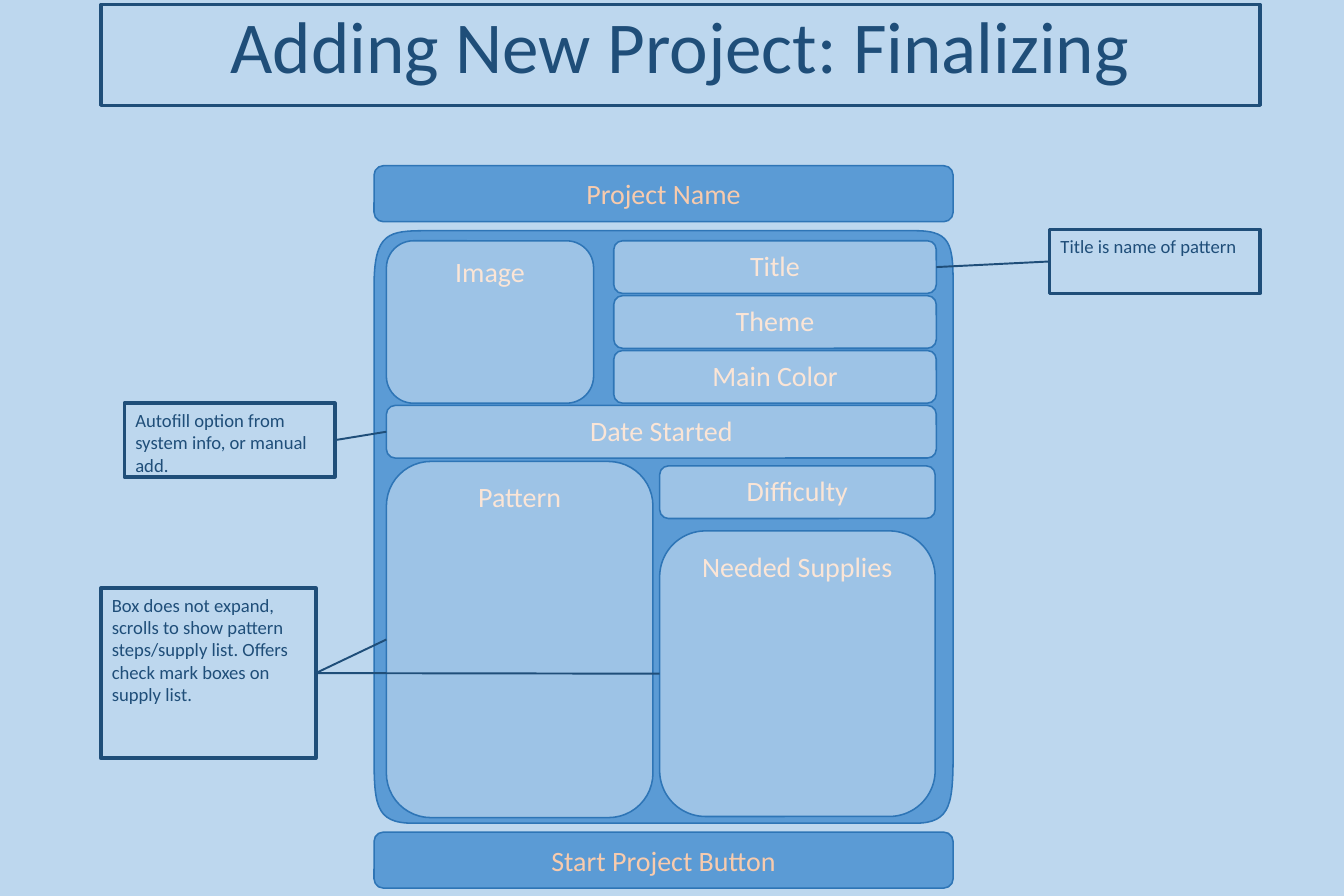
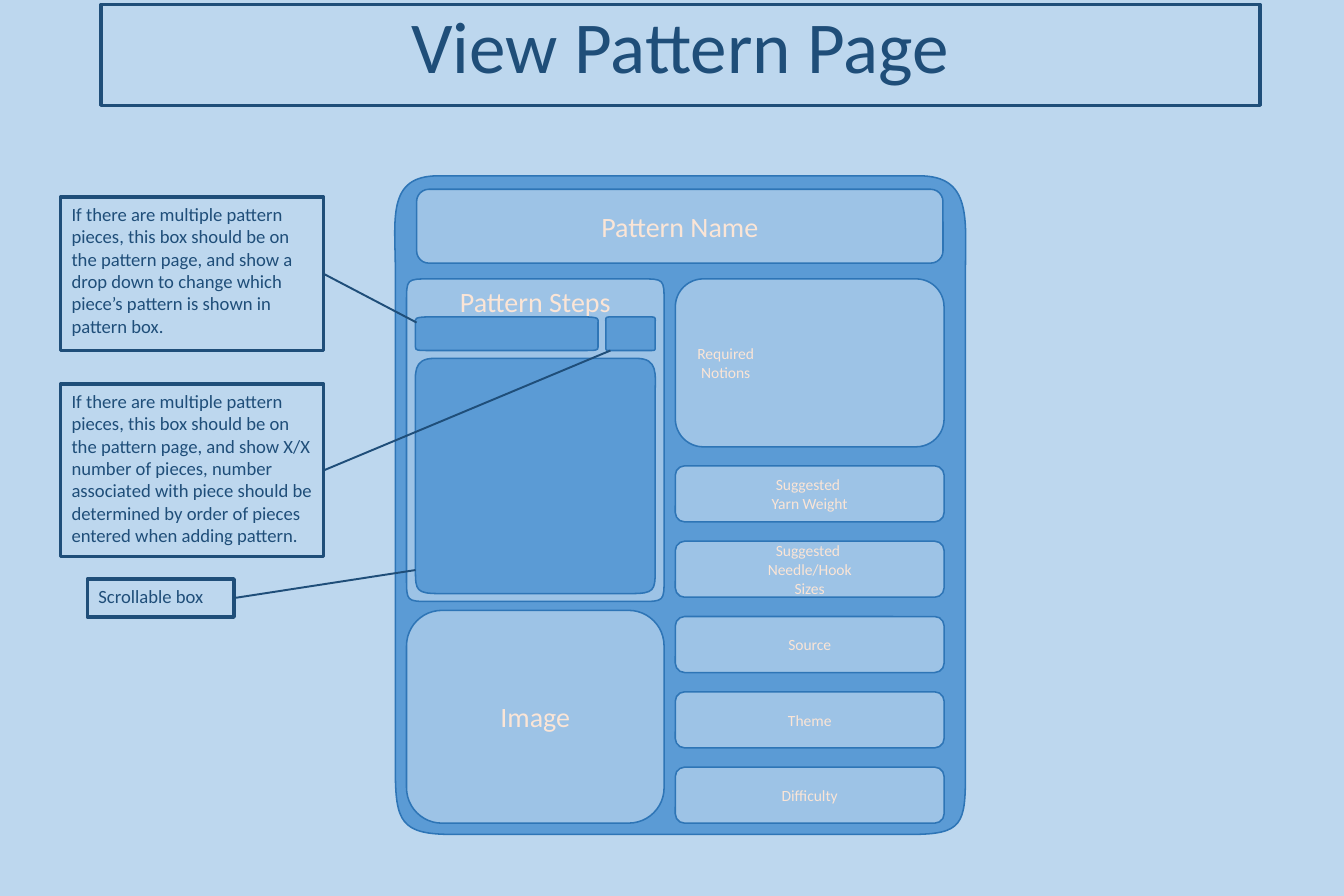
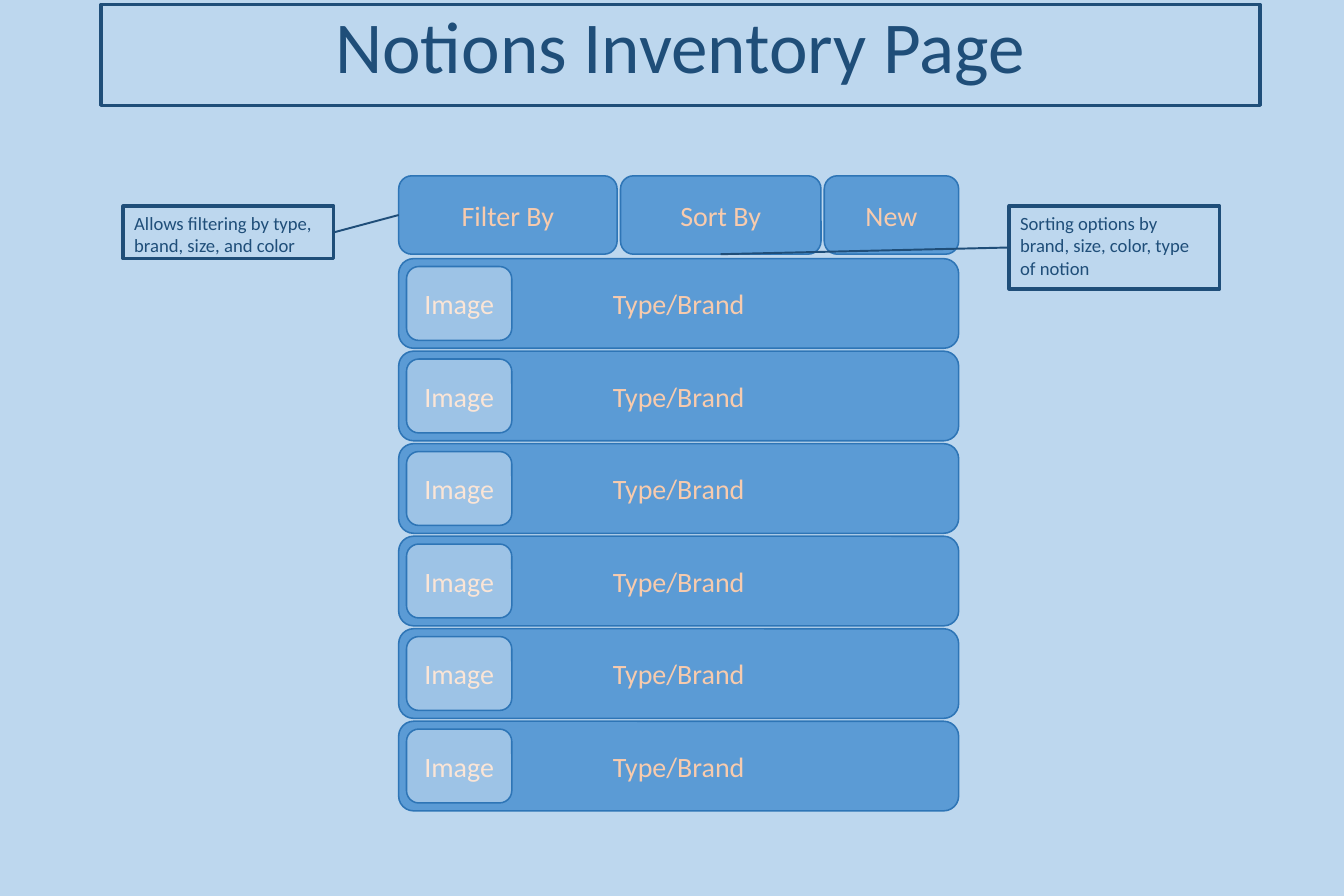
from lxml import etree
from pptx import Presentation
from pptx.dml.color import RGBColor
from pptx.enum.shapes import MSO_CONNECTOR, MSO_SHAPE
from pptx.enum.text import MSO_ANCHOR, MSO_AUTO_SIZE, PP_ALIGN
from pptx.oxml.ns import qn
from pptx.util import Inches, Pt

COLORS = {
    "background": "BDD7EE",
    "ink": "1F4E79",
    "panel": "5B9BD5",
    "field": "9DC3E6",
    "edge": "2E75B6",
    "panel_text": "F8CBAD",
    "field_text": "FBE5D6",
}
FONT = "Calibri"
TITLE_BOX = (0.9, 0.04, 10.35, 0.9)
TOP, LEFT, BOTTOM, RIGHT = range(4)  # connection sites


# Shared helpers

def color(name):
    return RGBColor.from_string(COLORS[name])


def inches(box):
    return [Inches(value) for value in box]


def within(area, left, top, width, height):
    """Turn a box measured from the corner of an area into a slide box."""
    return area[0] + left, area[1] + top, width, height


def set_line(shape, name, width):
    shape.line.color.rgb = color(name)
    shape.line.width = Pt(width)


def write(shape, lines, size, text_color, align, anchor):
    frame = shape.text_frame
    frame.word_wrap = True
    frame.auto_size = MSO_AUTO_SIZE.NONE
    frame.vertical_anchor = anchor
    for index, line in enumerate(lines):
        paragraph = frame.add_paragraph() if index else frame.paragraphs[0]
        paragraph.alignment = align
        run = paragraph.add_run()
        run.text = line
        run.font.name = FONT
        run.font.size = Pt(size)
        run.font.color.rgb = color(text_color)


def style_block(shape, kind):
    shape.shadow.inherit = False
    shape.fill.solid()
    shape.fill.fore_color.rgb = color(kind)
    set_line(shape, "edge", 1)


def add_block(shapes, box, text, kind="field", size=18, anchor=MSO_ANCHOR.MIDDLE):
    """Rounded block of the mock-up; text may hold several lines."""
    shape = shapes.add_shape(MSO_SHAPE.ROUNDED_RECTANGLE, *inches(box))
    style_block(shape, kind)
    write(shape, text.split("\n"), size, f"{kind}_text", PP_ALIGN.CENTER, anchor)
    return shape


def add_small_block(shapes, box, text, right_inset=0):
    shape = add_block(shapes, box, text, size=10)
    shape.text_frame.margin_left = 0
    shape.text_frame.margin_right = Inches(right_inset)


def add_soft_panel(shapes, box, corners, kind="panel"):
    """Outline with four curved corners, clockwise from the top left.

    Each corner is its width and height, then how far its horizontal and
    vertical handles stay inside the corner point.
    """
    left, top, width, height = inches(box)
    curves = []
    for index, corner in enumerate(corners):
        reach_x, reach_y, pull_x, pull_y = inches(corner)
        x, sign_x = (left + width, -1) if index in (1, 2) else (left, 1)
        y, sign_y = (top + height, -1) if index in (2, 3) else (top, 1)
        curve = [(x, y + sign_y * reach_y), (x, y + sign_y * pull_y),
                 (x + sign_x * pull_x, y), (x + sign_x * reach_x, y)]
        curves.append(curve[::-1] if index % 2 else curve)
    ends = [point for curve in curves for point in (curve[0], curve[3])]
    builder = shapes.build_freeform(*ends[0])
    builder.add_line_segments(ends[1:], close=True)
    shape = builder.convert_to_shape()

    # Turn the straight piece across each corner into a curve
    corner_lines = list(shape._element.iter(qn("a:lnTo")))[::2]
    for line, curve in zip(corner_lines, curves):
        line.tag = qn("a:cubicBezTo")
        line.clear()
        for x, y in curve[1:]:
            etree.SubElement(line, qn("a:pt"), x=str(x - left), y=str(y - top))
    style_block(shape, kind)
    return shape


def add_note(slide, box, text):
    shape = slide.shapes.add_textbox(*inches(box))
    set_line(shape, "ink", 2.25)
    write(shape, [text], 12, "ink", PP_ALIGN.LEFT, MSO_ANCHOR.TOP)
    return shape


def add_link(slide, note, note_site, point=(0, 0), target=None, target_site=LEFT):
    """Line from a note to a free point or to the side of a target."""
    link = slide.shapes.add_connector(MSO_CONNECTOR.STRAIGHT, 0, 0, *inches(point))
    link.begin_connect(note, note_site)
    if target is not None:
        link.end_connect(target, target_site)
    set_line(link, "ink", 1.25)
    etree.SubElement(link._element.spPr, qn("a:effectLst"))


def add_titled_slide(presentation, text):
    slide = presentation.slides.add_slide(presentation.slide_layouts[5])
    title = slide.shapes.title
    title.left, title.top, title.width, title.height = inches(TITLE_BOX)
    set_line(title, "ink", 2.25)
    write(title, [text], 47, "ink", PP_ALIGN.CENTER, MSO_ANCHOR.TOP)
    title.text_frame.paragraphs[0].line_spacing = 0.9
    return slide


# Mock-up screens: some return the parts that notes point to

def draw_project_screen(slide, area):
    shapes = slide.shapes
    width, height = area[2:]
    bar = 0.5
    add_block(shapes, within(area, 0, 0, width, bar), "Project Name", "panel")
    add_block(shapes, within(area, 0, height - bar, width, bar),
              "Start Project Button", "panel")
    add_soft_panel(shapes, within(area, 0, 0.58, width, 5.29),
                   [(0.48, 0.5, 0.13, 0.01), (0.34, 0.64, -0.02, 0.15),
                    (0.34, 0.67, 0.01, 0.18), (0.35, 0.67, 0, 0.17)])
    fields = {
        "Image": (0.11, 0.67, 1.85, 1.45),
        "Date Started": (0.11, 2.14, 4.91, 0.47),
        "Pattern": (0.11, 2.64, 2.38, 3.18),
        "Difficulty": (2.55, 2.68, 2.46, 0.47),
        "Needed Supplies": (2.55, 3.26, 2.46, 2.55),
    }
    for row, name in enumerate(("Title", "Theme", "Main Color")):
        fields[name] = (2.14, 0.67 + 0.49 * row, 2.88, 0.47)
    return {name: add_block(shapes, within(area, *box), name, anchor=MSO_ANCHOR.TOP)
            for name, box in fields.items()}


def draw_pattern_screen(slide, area):
    shapes = slide.shapes
    add_soft_panel(shapes, area,
                   [(0.38, 0.85, -0.08, 0.39), (0.41, 0.85, -0.06, 0.39),
                    (0.49, 0.56, 0.02, 0.09), (0.51, 0.58, 0.05, 0.11)])
    add_block(shapes, within(area, 0.19, 0.12, 4.7, 0.66), "Pattern Name")

    # Pattern steps with drop-down, piece counter and scroll box
    steps = add_soft_panel(shapes, within(area, 0.1, 0.92, 2.3, 2.88),
                           [(0.21, 0.21, 0, 0)] * 4, "field")
    write(steps, ["Pattern Steps"], 18, "field_text", PP_ALIGN.CENTER, MSO_ANCHOR.TOP)
    add_soft_panel(shapes, within(area, 0.18, 1.26, 1.63, 0.3),
                   [(0.13, 0.05, -0.02, 0.02)] * 2 + [(0.16, 0.03, 0.01, 0)] * 2)
    add_soft_panel(shapes, within(area, 1.88, 1.26, 0.44, 0.3),
                   [(0.03, 0.05, -0.01, 0.02)] * 2 + [(0.04, 0.03, 0, 0)] * 2)
    add_soft_panel(shapes, within(area, 0.18, 1.63, 2.14, 2.1),
                   [(0.17, 0.31, -0.03, 0.14)] * 2 + [(0.21, 0.2, 0.01, 0.03)] * 2)
    add_block(shapes, within(area, 0.1, 3.88, 2.3, 1.9), "Image")

    # Details column
    add_small_block(shapes, within(area, 2.5, 0.92, 2.4, 1.5), "Required\nNotions", 1.5)
    details = ("Suggested \nYarn Weight", "Suggested \nNeedle/Hook\nSizes",
               "Source", "Theme", "Difficulty")
    first, last = 2.59, 5.28
    pitch = (last - first) / (len(details) - 1)
    for row, text in enumerate(details):
        add_small_block(shapes, within(area, 2.5, first + row * pitch, 2.4, 0.5), text)


def draw_inventory_screen(slide, area):
    width, height = area[2:]
    rows, first, row_height = 6, 0.74, 0.8
    pitch = (height - first - row_height) / (rows - 1)
    for row in range(rows):
        top = first + row * pitch
        group = slide.shapes.add_group_shape()
        add_block(group.shapes, within(area, 0, top, width, row_height),
                  "Type/Brand", "panel")
        add_block(group.shapes, within(area, 0.07, top + 0.07, 0.94, 0.66), "Image")

    # Buttons above the list
    buttons, left = {}, 0
    for name, button_width in (("Filter By", 1.95), ("Sort By", 1.79), ("New", 1.2)):
        box = within(area, left, 0, button_width, 0.7)
        buttons[name] = add_block(slide.shapes, box, name, "panel")
        left += button_width + 0.03
    return buttons


# Slides

def build_finalizing(presentation):
    slide = add_titled_slide(presentation, "Adding New Project: Finalizing")
    fields = draw_project_screen(slide, (3.34, 1.48, 5.17, 6.45))
    scroll_note = add_note(
        slide, (0.9, 5.25, 1.92, 1.52),
        "Box does not expand, scrolls to show pattern steps/supply list. "
        "Offers check mark boxes on supply list.")
    title_note = add_note(slide, (9.37, 2.05, 1.88, 0.57), "Title is name of pattern")
    date_note = add_note(slide, (1.11, 3.6, 1.88, 0.66),
                         "Autofill option from system info, or manual add.")
    add_link(slide, scroll_note, RIGHT, target=fields["Pattern"])
    add_link(slide, scroll_note, RIGHT, target=fields["Needed Supplies"])
    add_link(slide, title_note, LEFT, target=fields["Title"], target_site=RIGHT)
    add_link(slide, date_note, RIGHT, target=fields["Date Started"])


def build_view_pattern(presentation):
    slide = add_titled_slide(presentation, "View Pattern Page")
    draw_pattern_screen(slide, (3.53, 1.57, 5.09, 5.88))
    opening = ("If there are multiple pattern pieces, this box should be "
               "on the pattern page, and show ")
    notes = (
        ((0.54, 1.76, 2.35, 1.37), (3.72, 2.88),
         opening + "a drop down to change which piece’s pattern is shown in pattern box."),
        ((0.54, 3.43, 2.35, 1.54), (5.45, 3.13),
         opening + "X/X number of pieces, number associated with piece should be "
         "determined by order of pieces entered when adding pattern."),
        ((0.78, 5.17, 1.31, 0.34), (3.71, 5.09), "Scrollable box"),
    )
    for box, point, text in notes:
        add_link(slide, add_note(slide, box, text), RIGHT, point)


def build_inventory(presentation):
    slide = add_titled_slide(presentation, "Notions Inventory Page")
    buttons = draw_inventory_screen(slide, (3.56, 1.57, 5, 5.67))
    filter_note = add_note(slide, (1.1, 1.84, 1.88, 0.47),
                           "Allows filtering by type, brand, size, and color")
    sort_note = add_note(slide, (9.01, 1.84, 1.88, 0.74),
                         "Sorting options by brand, size, color, type of notion")
    add_link(slide, filter_note, RIGHT, target=buttons["Filter By"])
    add_link(slide, sort_note, LEFT, target=buttons["Sort By"], target_site=BOTTOM)


def main():
    presentation = Presentation()
    presentation.slide_width, presentation.slide_height = Inches(12), Inches(8)
    background = presentation.slide_master.background.fill
    background.solid()
    background.fore_color.rgb = color("background")
    build_finalizing(presentation)
    build_view_pattern(presentation)
    build_inventory(presentation)
    presentation.save("out.pptx")


if __name__ == "__main__":
    main()
